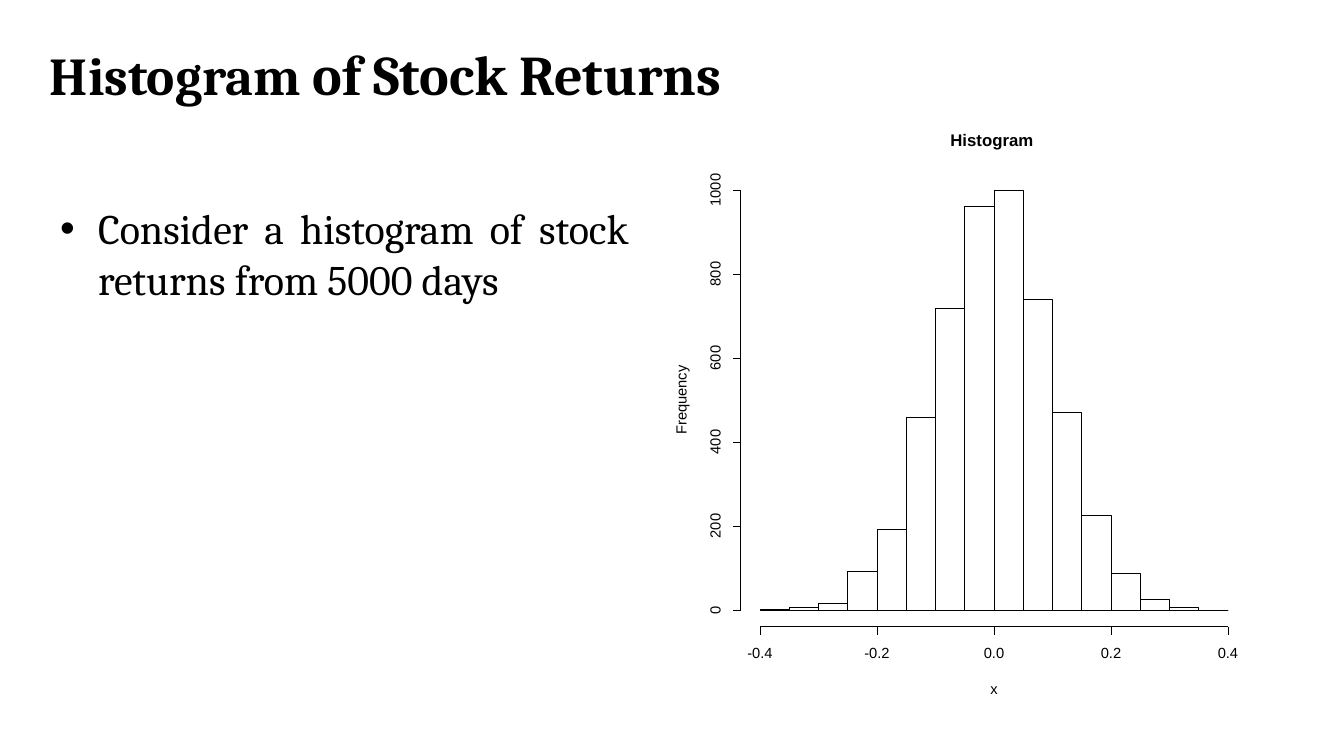
from dataclasses import dataclass

from lxml import etree
from pptx import Presentation
from pptx import util as u
from pptx.dml.color import RGBColor
from pptx.enum import text
from pptx.oxml.ns import qn

PX = u.Inches(1) / 100.8


@dataclass(frozen=True)
class Theme:
    ink: RGBColor = RGBColor(0, 0, 0)
    paper: RGBColor = RGBColor(255, 255, 255)
    serif: str = "Cambria"
    sans: str = "Arial"
    title_lead: float = 38
    title: float = 40
    body: float = 30
    heading: float = 12
    label: float = 10.5
    line: float = 0.65


def emu(px):
    return u.Emu(round(px * PX))


class SlideBuilder:
    def __init__(self, page, theme):
        self.page = page
        self.theme = theme
        page.background.fill.solid()
        page.background.fill.fore_color.rgb = theme.paper

    def box(self, left, top, width, height, inset=0):
        box = self.page.shapes.add_textbox(*map(emu, (left, top, width, height)))
        frame = box.text_frame
        frame.word_wrap = True
        frame.margin_left = frame.margin_right = emu(inset)
        frame.margin_top = frame.margin_bottom = 0
        return frame

    def style(self, para, font, size, bold=False):
        para.font.name = font
        para.font.size = u.Pt(size)
        para.font.bold = bold
        para.font.color.rgb = self.theme.ink

    def title(self, lead, rest):
        frame = self.box(40, 38, 1263, 79, inset=10)
        frame.vertical_anchor = text.MSO_ANCHOR.MIDDLE
        para = frame.paragraphs[0]
        para.line_spacing = 0.9
        self.style(para, self.theme.serif, self.theme.title, bold=True)
        span = para.add_run()
        span.text = lead
        span.font.size = u.Pt(self.theme.title_lead)
        para.add_run().text = rest

    def bullet(self, words, left, top, width, height):
        para = self.box(left, top, width, height).paragraphs[0]
        para.text = words
        para.alignment = text.PP_ALIGN.JUSTIFY
        properties = para._p.get_or_add_pPr()
        properties.set("marL", str(emu(39)))
        properties.set("indent", str(-emu(38)))
        font = etree.SubElement(properties, qn("a:buFont"))
        font.set("typeface", self.theme.sans)
        etree.SubElement(properties, qn("a:buChar")).set("char", "•")
        self.style(para, self.theme.serif, self.theme.body)

    def label(self, words, center_x, center_y, length, height=20,
              size=None, bold=False, upright=False):
        width, height = (height, length) if upright else (length, height)
        frame = self.box(center_x - width / 2, center_y - height / 2, width, height)
        frame.word_wrap = False
        if upright:
            frame._txBody.bodyPr.set("vert", "vert270")
        para = frame.paragraphs[0]
        para.text = words
        para.alignment = text.PP_ALIGN.CENTER
        self.style(para, self.theme.sans, size or self.theme.label, bold)

    def outline(self, contours):
        contours = [[(emu(x), emu(y)) for x, y in points] for points in contours]
        builder = self.page.shapes.build_freeform(*contours[0][0])
        for number, points in enumerate(contours):
            if number:
                builder.move_to(*points[0])
            builder.add_line_segments(points[1:], close=False)
        shape = builder.convert_to_shape()
        shape.shadow.inherit = False
        shape.fill.background()
        shape.line.color.rgb = self.theme.ink
        shape.line.width = u.Pt(self.theme.line)

    def histogram(self, counts, left, base, width, height, top_count):
        step = width / len(counts)
        bars = []
        for number, count in enumerate(counts):
            x = left + number * step
            y = base - count * height / top_count
            bars.append([(x, y), (x + step, y), (x + step, base), (x, base), (x, y)])
        self.outline(bars)

    def frequency_axis(self, x, base, height, values):
        ticks = [(base - height * value / values[-1], str(value)) for value in values]
        self.outline([[(x, base), (x, base - height)]]
                     + [[(x, y), (x - 8, y)] for y, _ in ticks])
        for y, words in ticks:
            self.label(words, x - 25, y, 9 * len(words), upright=True)

    def return_axis(self, y, left, width, values):
        gap = width / (len(values) - 1)
        ticks = [(left + gap * number, words) for number, words in enumerate(values)]
        self.outline([[(left, y), (left + width, y)]]
                     + [[(x, y), (x, y + 8)] for x, _ in ticks])
        for x, words in ticks:
            self.label(words, x, y + 27, 8 * len(words))


def main():
    deck = Presentation()
    deck.slide_width, deck.slide_height = emu(1344), emu(756)
    theme = Theme()
    slide = SlideBuilder(deck.slides.add_slide(deck.slide_layouts[6]), theme)

    slide.title("Histogram ", "of Stock Returns")
    slide.bullet("Consider a histogram of stock returns from 5000 days", 59, 203, 570, 102)

    left, base, width, height = 760, 610, 468, 420
    counts = [2, 5, 16, 92, 192, 459, 719, 960, 998, 740, 471, 224, 87, 24, 7, 0]
    slide.histogram(counts, left, base, width, height, 1000)
    slide.frequency_axis(741, base, height, range(0, 1001, 200))
    slide.return_axis(627, left, width, ["-0.4", "-0.2", "0.0", "0.2", "0.4"])
    slide.label("Frequency", 682, 400, 72, upright=True)
    slide.label("x", left + width / 2, 690, 10)
    slide.label("Histogram", 992, 140, 90, size=theme.heading, bold=True)

    deck.save("out.pptx")


if __name__ == "__main__":
    main()
